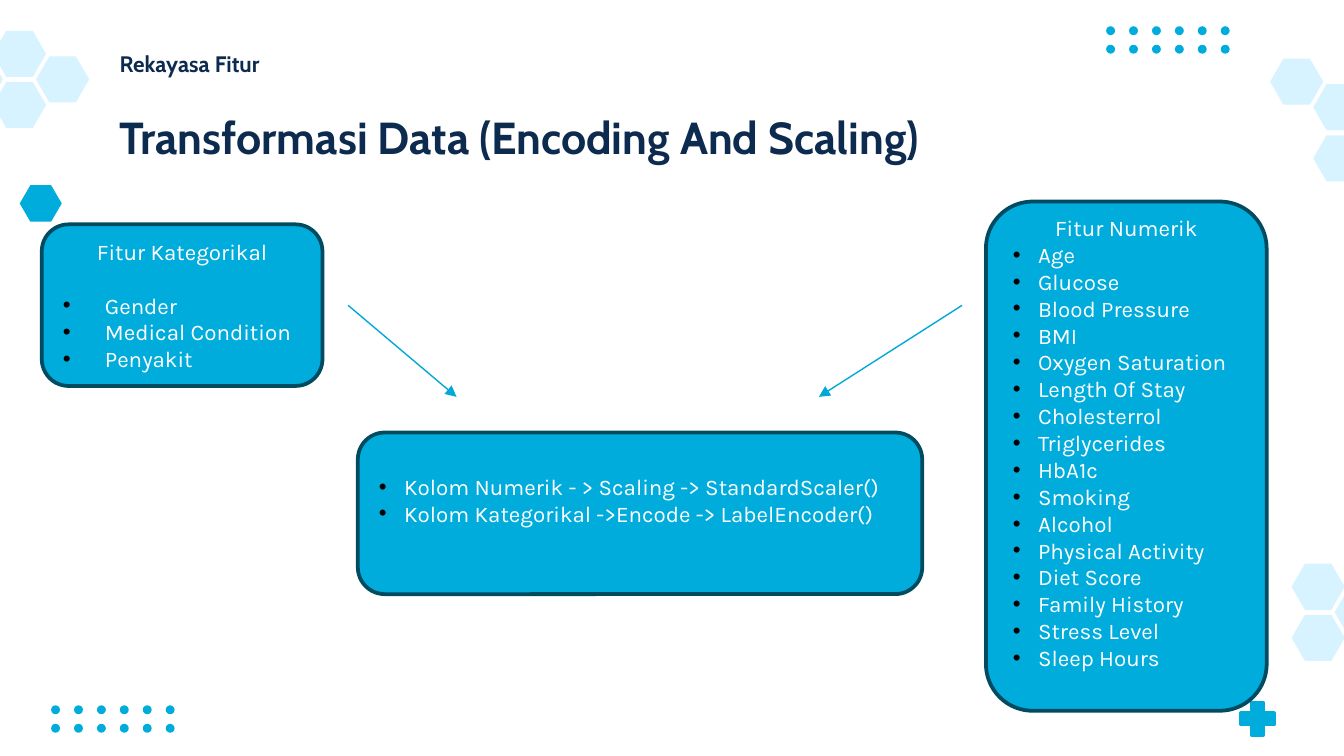
import pptx
import pptx.dml.color
import pptx.enum.shapes
import pptx.enum.text
import pptx.oxml
import pptx.oxml.ns
import pptx.util
from lxml import etree

Pt = pptx.util.Pt
SHAPES = pptx.enum.shapes.MSO_SHAPE
ALIGN = pptx.enum.text.PP_ALIGN
ANCHOR = pptx.enum.text.MSO_ANCHOR

BLUE, PALE, NAVY, EDGE, ARROW = "00ACDC", "D6F3FF", "0D2B4F", "004B60", "00A8D7"
WHITE, BLACK = "FFFFFF", "000000"
LINE_HEIGHT = 14.4


def color(value):
    return pptx.dml.color.RGBColor.from_string(value)


def add_xml(parent, tag, **attributes):
    return etree.SubElement(parent, pptx.oxml.ns.qn(tag), **attributes)


def write(paragraph, text, font="Karla", size=12, fill=WHITE, bold=False,
          align=ALIGN.LEFT, after=0, bullet_indent=0):
    run = paragraph.add_run()
    run.text = text
    run.font.name = font
    run.font.size = Pt(size)
    run.font.bold = bold
    run.font.color.rgb = color(fill)
    paragraph.alignment = align
    paragraph.space_before = Pt(0)
    paragraph.space_after = Pt(after)
    if bullet_indent:
        properties = paragraph._p.get_or_add_pPr()
        properties.set("marL", str(Pt(bullet_indent)))
        properties.set("indent", str(-Pt(bullet_indent)))
        bullet_color = add_xml(properties, "a:buClr")
        add_xml(bullet_color, "a:srgbClr", val=BLACK)
        add_xml(properties, "a:buFont", typeface="Arial")
        add_xml(properties, "a:buChar", char="•")


def add_filled(slide, kind, left, top, width, height, fill, adjustment=None):
    shape = slide.shapes.add_shape(kind, Pt(left), Pt(top), Pt(width), Pt(height))
    shape.shadow.inherit = False
    shape.fill.solid()
    shape.fill.fore_color.rgb = color(fill)
    shape.line.fill.background()
    if adjustment is not None:
        shape.adjustments[0] = adjustment
    return shape


def add_dots(slide, left, top, columns=6, rows=2):
    for row in range(rows):
        for column in range(columns):
            add_filled(slide, SHAPES.OVAL, left + column * 12.28,
                       top + row * 9.9, 4.75, 4.75, BLUE)


def add_honeycomb(slide, left, top, cells):
    """Cells are (column, half row) steps from the left, top corner."""
    for column, half_row in cells:
        add_filled(slide, SHAPES.HEXAGON, left + column * 23.1,
                   top + half_row * 13.7, 28.5, 24.7, PALE, 0.29)


def add_cross(slide, left, top, size):
    # A round-joined outline softens the corners
    shape = add_filled(slide, SHAPES.CROSS, left + 1, top + 1, size - 2, size - 2, BLUE, 0.33)
    shape.line.color.rgb = color(BLUE)
    shape.line.width = Pt(2)
    add_xml(shape.line._get_or_add_ln(), "a:round")


def add_decorations(slide):
    add_dots(slide, 27.4, 377.9)
    add_dots(slide, 592.6, 14.1)
    add_filled(slide, SHAPES.HEXAGON, 10.6, 99.2, 22.5, 19.6, BLUE, 0.29)
    add_cross(slide, 663.8, 375.3, 19.6)
    add_honeycomb(slide, 691.9, 302, [(0, 0), (0, 2), (1, 1)])
    add_honeycomb(slide, -26.9, 16.5, [(2, 1), (1, 0), (1, 2), (0, 1)])
    add_honeycomb(slide, 680.4, 31.4, [(1, 1), (0, 0), (1, 3)])


def add_heading(shape, left, top, width, height, text, size):
    shape.left, shape.top, shape.width, shape.height = map(Pt, (left, top, width, height))
    frame = shape.text_frame
    frame.word_wrap = True
    frame.auto_size = pptx.enum.text.MSO_AUTO_SIZE.NONE
    frame.vertical_anchor = ANCHOR.TOP
    frame.margin_left = frame.margin_right = Pt(7.2)
    frame.margin_top = frame.margin_bottom = Pt(7.2)
    write(frame.paragraphs[0], text, font="Cabin", size=size, fill=NAVY, bold=True)


def add_panel(slide, left, top, width, height, items, heading=None,
              heading_gap=0, bullet_indent=13.5, space_below=0):
    shape = add_filled(slide, SHAPES.ROUNDED_RECTANGLE, left, top, width, height, BLUE)
    shape.line.color.rgb = color(EDGE)
    shape.line.width = Pt(2)
    frame = shape.text_frame
    frame.word_wrap = True
    frame.vertical_anchor = ANCHOR.MIDDLE
    frame.margin_bottom = Pt(3.6 + space_below)
    paragraph = frame.paragraphs[0]
    if heading:
        write(paragraph, heading, align=ALIGN.CENTER, after=heading_gap)
        paragraph = frame.add_paragraph()
    for index, item in enumerate(items):
        if index:
            paragraph = frame.add_paragraph()
        write(paragraph, item, bullet_indent=bullet_indent)


def add_arrow(slide, start, end):
    connector = slide.shapes.add_connector(
        pptx.enum.shapes.MSO_CONNECTOR.STRAIGHT, *map(Pt, start + end))
    connector.line.color.rgb = color(ARROW)
    connector.line.width = Pt(0.75)
    add_xml(connector.line._get_or_add_ln(), "a:tailEnd", type="triangle")
    add_xml(connector._element.spPr, "a:effectLst")


def main():
    presentation = pptx.Presentation()
    presentation.slide_width, presentation.slide_height = Pt(720), Pt(405)
    slide = presentation.slides.add_slide(presentation.slide_layouts[5])

    add_decorations(slide)

    # Headings
    add_heading(slide.shapes.title, 56.9, 19.4, 607, 33, "Rekayasa Fitur", 12)
    subtitle = slide.shapes.add_textbox(0, 0, 0, 0)
    add_heading(subtitle, 56.9, 51.8, 607, 45.4,
                "Transformasi Data (Encoding And Scaling)", 24)

    # Feature groups and the transformations applied to them
    add_panel(slide, 22.4, 120.2, 150.4, 86.6,
              ["Gender", "Medical Condition", "Penyakit"],
              heading="Fitur Kategorikal", heading_gap=LINE_HEIGHT, bullet_indent=22.5)
    add_panel(slide, 528.2, 108, 150.4, 272.8,
              ["Age", "Glucose", "Blood Pressure", "BMI", "Oxygen Saturation",
               "Length Of Stay", "Cholesterrol", "Triglycerides", "HbA1c", "Smoking",
               "Alcohol", "Physical Activity", "Diet Score", "Family History",
               "Stress Level", "Sleep Hours"],
              heading="Fitur Numerik", space_below=LINE_HEIGHT)
    add_panel(slide, 191.7, 231.7, 302.4, 86.6,
              ["Kolom Numerik - > Scaling -> StandardScaler()",
               "Kolom Kategorikal ->Encode -> LabelEncoder()"],
              space_below=LINE_HEIGHT)

    # Arrows into the transformation panel
    add_arrow(slide, (186.5, 163.6), (244.6, 212.6))
    add_arrow(slide, (515.4, 163.6), (438.7, 212.6))

    presentation.save("out.pptx")


if __name__ == "__main__":
    main()
